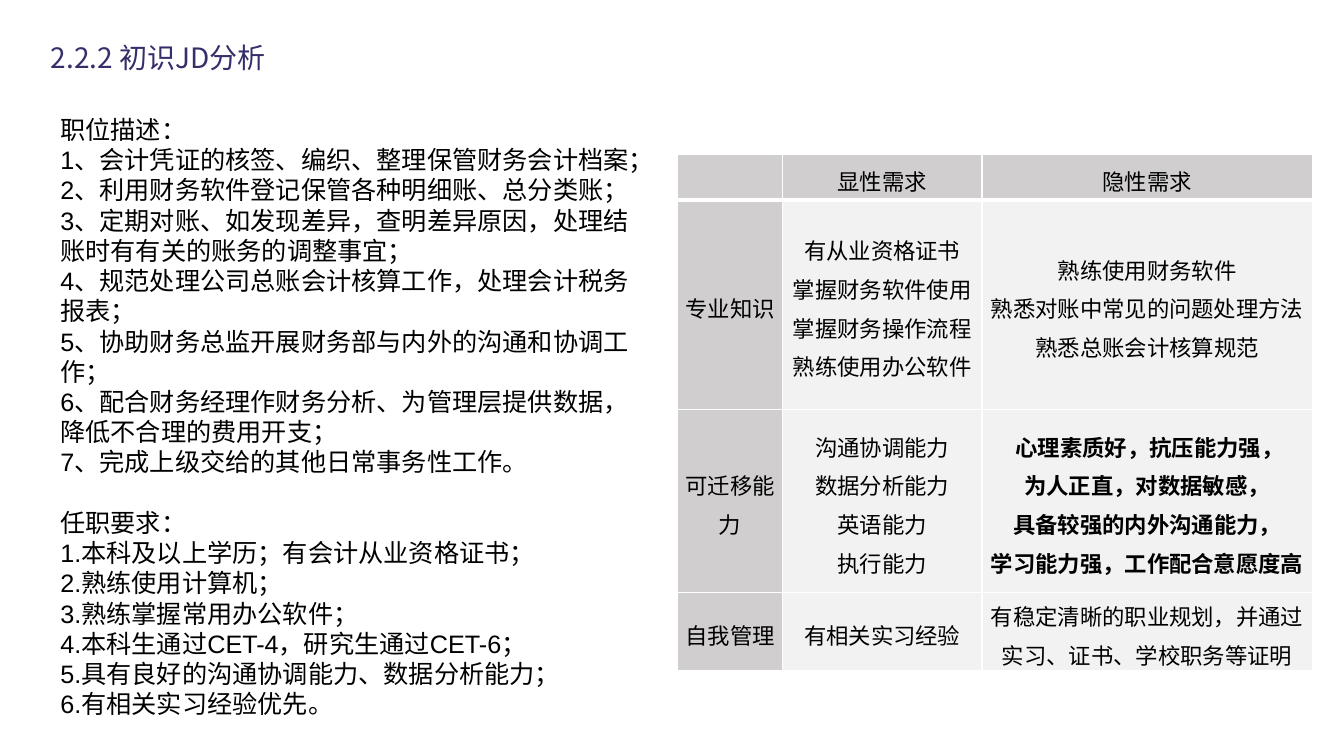
from lxml.etree import SubElement
from pptx import Presentation
from pptx.dml.color import RGBColor
from pptx.enum.text import MSO_ANCHOR, MSO_AUTO_SIZE, PP_ALIGN
from pptx.oxml.ns import qn
from pptx.util import Pt

COLORS = {
    "title": "342E6A",
    "text": "000000",
    "head": "D0CECE",
    "body": "F2F2F2",
    "border": "FFFFFF",
}
TITLE_FONT = "Noto Sans CJK SC"
BODY_FONT = "Arial"

DUTIES = [
    "职位描述：",
    "1、会计凭证的核签、编织、整理保管财务会计档案；",
    "2、利用财务软件登记保管各种明细账、总分类账；",
    "3、定期对账、如发现差异，查明差异原因，处理结账时有有关的账务的调整事宜；",
    "4、规范处理公司总账会计核算工作，处理会计税务报表；",
    "5、协助财务总监开展财务部与内外的沟通和协调工作；",
    "6、配合财务经理作财务分析、为管理层提供数据，降低不合理的费用开支；",
    "7、完成上级交给的其他日常事务性工作。",
]
REQUIREMENTS = [
    "任职要求：",
    "1.本科及以上学历；有会计从业资格证书；",
    "2.熟练使用计算机；",
    "3.熟练掌握常用办公软件；",
    "4.本科生通过CET-4，研究生通过CET-6；",
    "5.具有良好的沟通协调能力、数据分析能力；",
    "6.有相关实习经验优先。",
]
NEEDS = [
    ["", "显性需求", "隐性需求"],
    ["专业知识",
     "有从业资格证书\n掌握财务软件使用\n掌握财务操作流程\n熟练使用办公软件",
     "熟练使用财务软件\n熟悉对账中常见的问题处理方法\n熟悉总账会计核算规范"],
    ["可迁移能力",
     "沟通协调能力\n数据分析能力\n英语能力\n执行能力",
     " 心理素质好，抗压能力强，\n为人正直，对数据敏感，\n具备较强的内外沟通能力，\n学习能力强，工作配合意愿度高"],
    ["自我管理", "有相关实习经验",
     "有稳定清晰的职业规划，并通过实习、证书、学校职务等证明"],
]
BOLD_CELL = (2, 2)
COL_WIDTHS = [75, 142.5, 236]
ROW_HEIGHTS = [32.5, 149.5, 131, 55.5]


def rgb(name):
    return RGBColor.from_string(COLORS[name])


def set_font(p, name, size, color, bold=False):
    p.font.name = name
    p.font.size = Pt(size)
    p.font.bold = bold
    p.font.color.rgb = rgb(color)


def add_title(s, text):
    sp = s.shapes.title
    sp.left, sp.top, sp.width, sp.height = Pt(29), Pt(25), Pt(175), Pt(32)
    tf = sp.text_frame
    tf.text = text
    tf.word_wrap = True
    tf.auto_size = MSO_AUTO_SIZE.NONE
    tf.vertical_anchor = MSO_ANCHOR.TOP
    p = tf.paragraphs[0]
    p.alignment = PP_ALIGN.LEFT
    set_font(p, TITLE_FONT, 20, "title")


def add_job_text(s):
    tf = s.shapes.add_textbox(Pt(36), Pt(78), Pt(435.5), Pt(443.5)).text_frame
    tf.word_wrap = True
    tf.text = "\n".join(DUTIES + REQUIREMENTS)
    for p in tf.paragraphs:
        set_font(p, BODY_FONT, 18, "text")
    tf.paragraphs[len(DUTIES)].space_before = Pt(21.5)


def set_borders(cell, bottom):
    tc_pr = cell._tc.get_or_add_tcPr()
    for side, width in (("L", 1), ("R", 1), ("T", 1), ("B", bottom)):
        ln = SubElement(tc_pr, qn(f"a:ln{side}"), w=str(Pt(width)))
        fill = SubElement(ln, qn("a:solidFill"))
        SubElement(fill, qn("a:srgbClr"), val=COLORS["border"])


def fill_cell(cell, text, fill, bottom, bold):
    set_borders(cell, bottom)
    cell.fill.solid()
    cell.fill.fore_color.rgb = rgb(fill)
    cell.vertical_anchor = MSO_ANCHOR.MIDDLE
    cell.margin_left = cell.margin_right = Pt(4.3)
    cell.margin_top = cell.margin_bottom = 0
    cell.text = text
    for p in cell.text_frame.paragraphs:
        p.alignment = PP_ALIGN.CENTER
        p.line_spacing = 1.2
        set_font(p, BODY_FONT, 16, "text", bold)


def add_needs_table(s):
    table = s.shapes.add_table(
        len(NEEDS), len(COL_WIDTHS), Pt(484), Pt(110.5),
        Pt(sum(COL_WIDTHS)), Pt(sum(ROW_HEIGHTS))).table
    table.first_row = table.horz_banding = False
    for column, width in zip(table.columns, COL_WIDTHS):
        column.width = Pt(width)
    for r, (row, height) in enumerate(zip(NEEDS, ROW_HEIGHTS)):
        table.rows[r].height = Pt(height)
        for c, text in enumerate(row):
            fill = "body" if r and c else "head"
            fill_cell(table.cell(r, c), text, fill,
                      bottom=1 if r else 3, bold=(r, c) == BOLD_CELL)


def main():
    prs = Presentation()
    prs.slide_width, prs.slide_height = Pt(960), Pt(540)
    s = prs.slides.add_slide(prs.slide_layouts.get_by_name("Title Only"))
    add_title(s, "2.2.2 初识JD分析")
    add_job_text(s)
    add_needs_table(s)
    prs.save("out.pptx")


if __name__ == "__main__":
    main()
